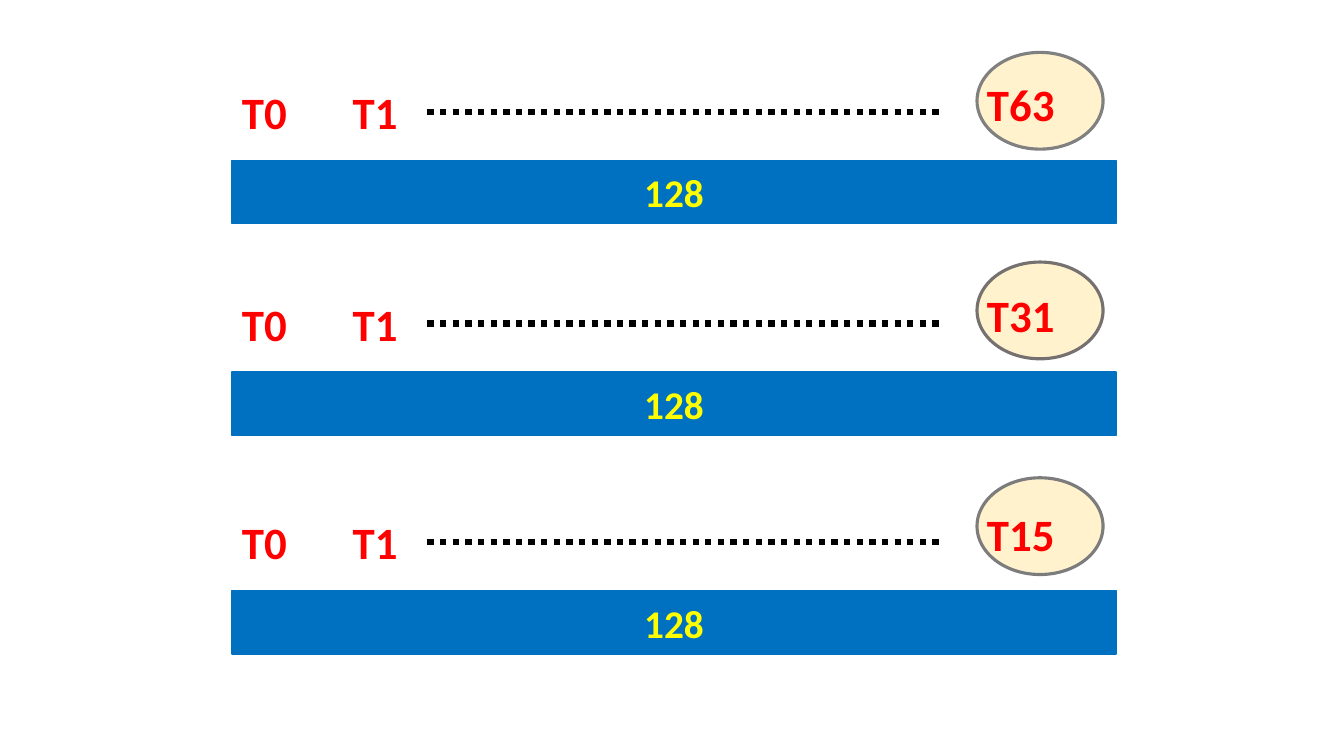
"""Build a slide of three 128-wide bars with their thread labels."""
import pptx
import pptx.dml.color
import pptx.enum.dml
import pptx.enum.shapes
import pptx.enum.text
import pptx.util
from pptx.util import Inches

COLORS = {
    "bar": "0070C0",
    "bar_text": "FFFF00",
    "label": "FF0000",
    "dots": "000000",
    "oval": "FFF2CC",
}
ROWS = [
    (1.59, 0.52, "808080", "T63"),
    (3.69, 2.6, "767171", "T31"),
    (5.86, 4.74, "7C7C7C", "T15"),
]
LEFT, OVAL_LEFT = 2.3, 9.69


def rgb(value):
    return pptx.dml.color.RGBColor.from_string(value)


def write(tf, text, size, color, align=pptx.enum.text.PP_ALIGN.LEFT,
          anchor=pptx.enum.text.MSO_ANCHOR.TOP):
    tf.word_wrap = True
    tf.vertical_anchor = anchor
    p = tf.paragraphs[0]
    p.alignment = align
    r = p.add_run()
    r.text = text
    r.font.name = "Calibri"
    r.font.size = pptx.util.Pt(size)
    r.font.bold = True
    r.font.color.rgb = rgb(color)


class Canvas:
    def __init__(self, slide, colors):
        self.s = slide
        self.colors = colors

    def shape(self, kind, x, y, w, h, fill, line, width):
        sp = self.s.shapes.add_shape(kind, Inches(x), Inches(y), Inches(w), Inches(h))
        sp.shadow.inherit = False
        sp.fill.solid()
        sp.fill.fore_color.rgb = rgb(fill)
        sp.line.color.rgb = rgb(line)
        sp.line.width = pptx.util.Pt(width)
        return sp

    def oval(self, y, line):
        self.shape(pptx.enum.shapes.MSO_SHAPE.OVAL, OVAL_LEFT, y, 1.25, 0.96,
                   self.colors["oval"], line, 2.25)

    def bar(self, y, text):
        fill = self.colors["bar"]
        sp = self.shape(pptx.enum.shapes.MSO_SHAPE.RECTANGLE, LEFT, y, 8.77, 0.63,
                        fill, fill, 1)
        write(sp.text_frame, text, 28, self.colors["bar_text"],
              align=pptx.enum.text.PP_ALIGN.CENTER,
              anchor=pptx.enum.text.MSO_ANCHOR.MIDDLE)

    def label(self, x, y, w, text):
        sp = self.s.shapes.add_textbox(Inches(x), Inches(y), Inches(w), Inches(0.64))
        write(sp.text_frame, text, 32, self.colors["label"])
        sp.text_frame.auto_size = pptx.enum.text.MSO_AUTO_SIZE.SHAPE_TO_FIT_TEXT

    def dots(self, y):
        line = self.s.shapes.add_connector(
            pptx.enum.shapes.MSO_CONNECTOR.STRAIGHT,
            Inches(4.24), Inches(y), Inches(9.36), Inches(y))
        line.line.color.rgb = rgb(self.colors["dots"])
        line.line.width = pptx.util.Pt(4.5)
        line.line.dash_style = pptx.enum.dml.MSO_LINE.ROUND_DOT
        pptx.oxml.xmlchemy.OxmlElement
        line._element.spPr.append(pptx.oxml.xmlchemy.OxmlElement("a:effectLst"))


def main():
    prs = pptx.Presentation()
    prs.slide_width, prs.slide_height = Inches(13.33), Inches(7.5)
    canvas = Canvas(prs.slides.add_slide(prs.slide_layouts[6]), COLORS)
    for _, oval_top, outline, _ in reversed(ROWS):
        canvas.oval(oval_top, outline)
    for bar_top, _, _, last in ROWS:
        canvas.bar(bar_top, "128")
        for i in range(2):
            canvas.label(LEFT + 1.1 * i, bar_top - 0.8, 1.02, f"T{i}")
        canvas.dots(bar_top - 0.48)
        canvas.label(OVAL_LEFT, bar_top - 0.88, 1.38, last)
    prs.save("out.pptx")


if __name__ == "__main__":
    main()
